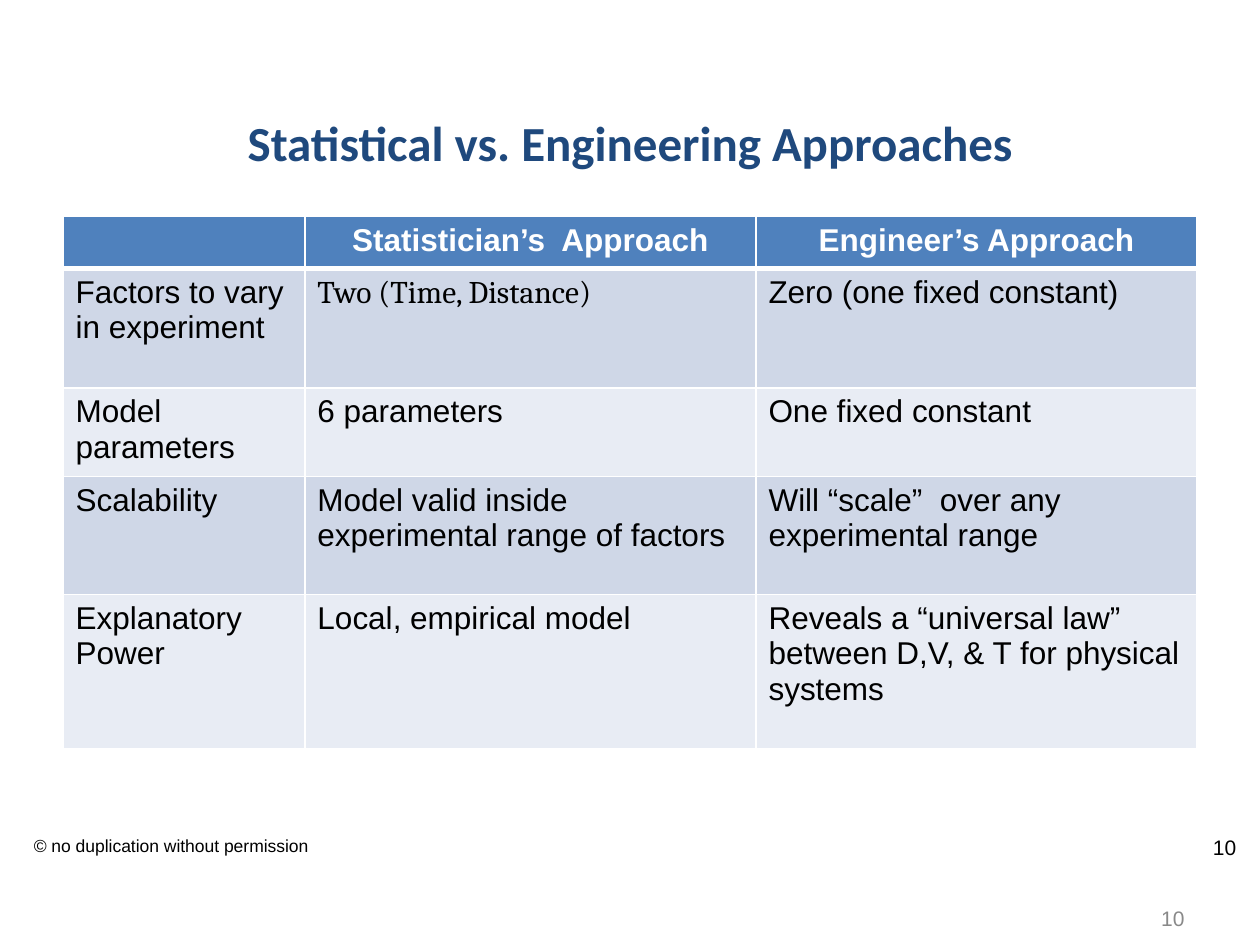
from dataclasses import dataclass

from lxml import etree
from pptx import Presentation
from pptx.dml.color import RGBColor
from pptx.enum.text import MSO_ANCHOR, PP_ALIGN
from pptx.oxml.ns import qn
from pptx.util import Inches, Pt

LEFT, CENTER, RIGHT = PP_ALIGN.LEFT, PP_ALIGN.CENTER, PP_ALIGN.RIGHT
TOP, MIDDLE = MSO_ANCHOR.TOP, MSO_ANCHOR.MIDDLE

NAVY = RGBColor(0x1F, 0x49, 0x7D)
BLUE = RGBColor(0x4F, 0x81, 0xBD)
DARK_BAND = RGBColor(0xCF, 0xD7, 0xE7)
LIGHT_BAND = RGBColor(0xE8, 0xEC, 0xF4)
BLACK = RGBColor(0, 0, 0)
GRAY = RGBColor(0x89, 0x89, 0x89)
WHITE = RGBColor(0xFF, 0xFF, 0xFF)

COLUMN_WIDTHS = (1.92, 3.58, 3.5)
ROW_HEIGHTS = (0.41, 0.95, 0.66, 0.94, 1.22)
ROWS = (
    ("", "Statistician’s  Approach", "Engineer’s Approach"),
    ("Factors to vary in experiment", "Two (Time, Distance)", "Zero (one fixed constant)"),
    ("Model parameters", "6 parameters", "One fixed constant"),
    ("Scalability", "Model valid inside experimental range of factors",
     "Will “scale”  over any experimental range"),
    ("Explanatory Power", "Local, empirical model",
     "Reveals a “universal law” between D,V, & T for physical systems"),
)
CAMBRIA_CELL = (1, 1)


@dataclass
class Label:
    text: str
    left: float
    top: float
    width: float
    height: float
    size: int
    color: RGBColor
    alignment: int
    anchor: int


LABELS = (
    Label("© no duplication without permission", 0.17, 6.58, 3.96, 0.27, 10, BLACK, LEFT, TOP),
    Label("10", 7.58, 6.52, 2.33, 0.4, 12, BLACK, RIGHT, MIDDLE),
    Label("10", 8.5, 7.08, 1, 0.42, 12, GRAY, RIGHT, MIDDLE),
)


def write_text(text_frame, text: str, size: int, color: RGBColor, alignment: int,
               font_name: str = "Arial", bold: bool = False) -> None:
    text_frame.text = text
    paragraph = text_frame.paragraphs[0]
    paragraph.alignment = alignment
    for run in paragraph.runs:
        run.font.name = font_name
        run.font.size = Pt(size)
        run.font.bold = bold
        run.font.color.rgb = color


def add_label(slide, label: Label) -> None:
    shape = slide.shapes.add_textbox(Inches(label.left), Inches(label.top),
                                     Inches(label.width), Inches(label.height))
    shape.text_frame.word_wrap = True
    shape.text_frame.vertical_anchor = label.anchor
    write_text(shape.text_frame, label.text, label.size, label.color, label.alignment)


def add_title(slide, text: str) -> None:
    title = slide.shapes.title
    title.left, title.top = Inches(0.5), Inches(0.5)
    title.width, title.height = Inches(9), Inches(1.25)
    title.text_frame.vertical_anchor = MIDDLE
    write_text(title.text_frame, text, 28, NAVY, CENTER, "Calibri", True)


def set_borders(cell, top: int, bottom: int) -> None:
    properties = cell._tc.get_or_add_tcPr()
    for tag, width in (("a:lnL", 1), ("a:lnR", 1), ("a:lnT", top), ("a:lnB", bottom)):
        line = etree.SubElement(properties, qn(tag), w=str(Pt(width)))
        fill = etree.SubElement(line, qn("a:solidFill"))
        etree.SubElement(fill, qn("a:srgbClr"), val=str(WHITE))


def add_comparison_table(slide) -> None:
    table = slide.shapes.add_table(len(ROWS), len(COLUMN_WIDTHS), Inches(0.5), Inches(1.72),
                                   Inches(sum(COLUMN_WIDTHS)), Inches(sum(ROW_HEIGHTS))).table
    for column, width in zip(table.columns, COLUMN_WIDTHS):
        column.width = Inches(width)
    for row_index, (texts, height) in enumerate(zip(ROWS, ROW_HEIGHTS)):
        table.rows[row_index].height = Inches(height)
        header = row_index == 0
        band = BLUE if header else DARK_BAND if row_index % 2 else LIGHT_BAND
        for column_index, text in enumerate(texts):
            cell = table.cell(row_index, column_index)
            set_borders(cell, 3 if row_index == 1 else 1, 3 if header else 1)
            cell.fill.solid()
            cell.fill.fore_color.rgb = band
            font_name = "Cambria" if (row_index, column_index) == CAMBRIA_CELL else "Arial"
            write_text(cell.text_frame, text, 18, WHITE if header else BLACK,
                       CENTER if header else LEFT, font_name, header)


def main() -> None:
    presentation = Presentation()
    presentation.slide_width, presentation.slide_height = Inches(10), Inches(7.5)
    slide = presentation.slides.add_slide(presentation.slide_layouts[5])
    add_title(slide, "Statistical vs. Engineering Approaches")
    for label in LABELS:
        add_label(slide, label)
    add_comparison_table(slide)
    presentation.save("out.pptx")


if __name__ == "__main__":
    main()
